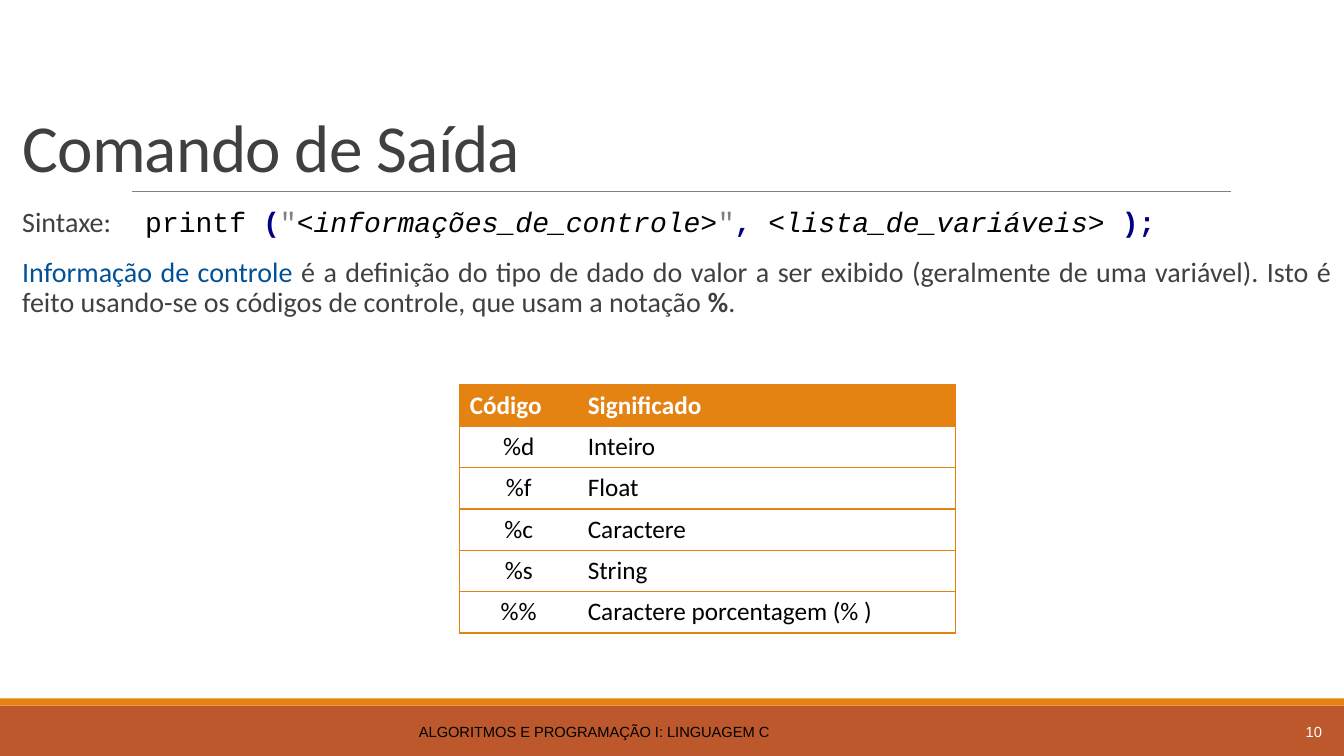
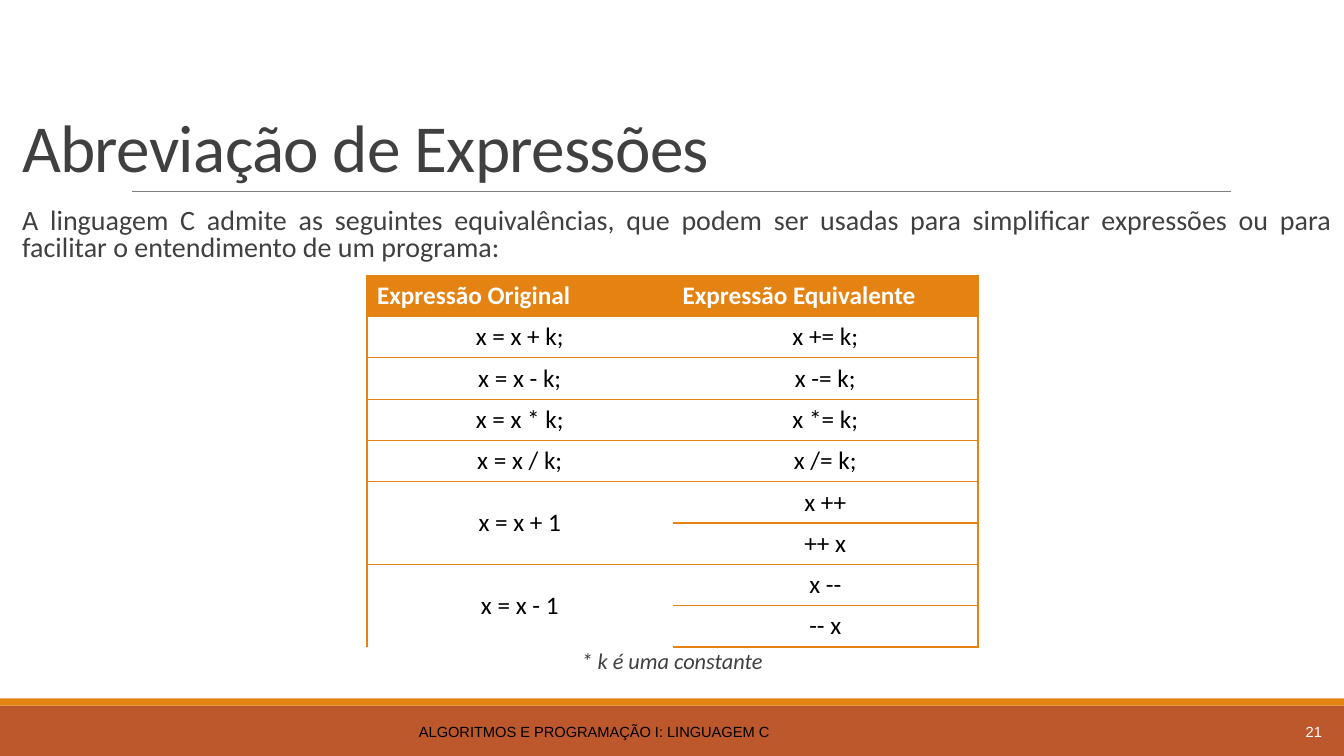
from dataclasses import dataclass
from typing import Optional

import pptx
import pptx.dml.color
import pptx.enum.shapes
import pptx.enum.text
import pptx.oxml
import pptx.oxml.ns
import pptx.util
from pptx.util import Inches

RGBColor = pptx.dml.color.RGBColor
Align = pptx.enum.text.PP_ALIGN
Anchor = pptx.enum.text.MSO_ANCHOR

ORANGE = RGBColor(0xE4, 0x83, 0x12)
RUST = RGBColor(0xBD, 0x58, 0x2C)
GRAY = RGBColor(0x80, 0x80, 0x80)
DARK = RGBColor(0x40, 0x40, 0x40)
BLACK = RGBColor(0, 0, 0)
WHITE = RGBColor(0xFF, 0xFF, 0xFF)
NAVY = RGBColor(0, 0, 0x80)
BLUE = RGBColor(0x02, 0x51, 0x98)

SANS, MONO, PLAIN = "Calibri", "Courier New", "Arial"
WIDE, HIGH = 13.33, 7.5
LEFT, SPAN = 0.22, 12.99
ROW = 0.41
FOOTER = "ALGORITMOS E PROGRAMAÇÃO I: LINGUAGEM C"


@dataclass
class Band:
    top: float
    high: float
    fill: RGBColor


@dataclass
class Grid:
    left: float
    top: float
    cols: list[float]
    aligns: list[Align]
    rows: list[tuple[Optional[str], str]]  # None joins the cell above


BANDS = [Band(7, 0.5, RUST), Band(6.93, 0.07, ORANGE)]


def write(par, text: str, *, size: float = 20, font: str = SANS,
          color: RGBColor = DARK, bold: bool = False, ital: bool = False,
          track: float = 0) -> None:
    """Add one run of text to a paragraph."""
    run = par.add_run()
    run.text = text
    face = run.font
    face.size = pptx.util.Pt(size)
    face.name = font
    face.bold = bold
    face.italic = ital
    face.color.rgb = color
    if track:
        run._r.get_or_add_rPr().set("spc", str(round(track * 100)))


def add_box(slide, left: float, top: float, wide: float, high: float, *,
            side: float = 0, anchor: Anchor = Anchor.TOP):
    """Add a wrapping text box and return its frame."""
    frame = slide.shapes.add_textbox(
        Inches(left), Inches(top), Inches(wide), Inches(high)).text_frame
    frame.word_wrap = True
    frame.vertical_anchor = anchor
    frame.margin_left = frame.margin_right = Inches(side)
    return frame


def style(par, *, align: Align = Align.LEFT, lead: float = 1.0,
          gap: float = 0):
    """Set the paragraph's alignment and spacing."""
    par.alignment = align
    par.line_spacing = lead
    if gap:
        par.space_before = pptx.util.Pt(gap)
    return par


def add_base(deck, title: str, page: int):
    """Add a slide with its bands, rule, title and footer."""
    slide = deck.slides.add_slide(deck.slide_layouts[5])

    # Bands and rule
    for band in BANDS:
        shape = slide.shapes.add_shape(
            pptx.enum.shapes.MSO_SHAPE.RECTANGLE, 0, Inches(band.top),
            Inches(WIDE), Inches(band.high))
        shape.shadow.inherit = False
        shape.fill.solid()
        shape.fill.fore_color.rgb = band.fill
        shape.line.fill.background()
    rule = slide.shapes.add_connector(
        pptx.enum.shapes.MSO_CONNECTOR.STRAIGHT,
        Inches(1.31), Inches(1.9), Inches(12.21), Inches(1.9))
    rule.line.color.rgb = GRAY
    rule.line.width = pptx.util.Pt(0.5)
    props = rule._element.spPr
    props.append(pptx.oxml.parse_xml(
        f"<a:effectLst {pptx.oxml.ns.nsdecls('a')}/>"))

    # Title
    head = slide.shapes.title
    head.left, head.top = Inches(0.12), Inches(0.31)
    head.width, head.height = Inches(13.1), Inches(1.59)
    frame = head.text_frame
    frame.auto_size = pptx.enum.text.MSO_AUTO_SIZE.NONE
    frame.word_wrap = True
    frame.vertical_anchor = Anchor.BOTTOM
    write(style(frame.paragraphs[0], lead=0.85), title, size=48, track=-0.5)

    # Footer and page number
    for left, wide, text, align, color in (
            (0.12, 11.55, FOOTER, Align.CENTER, BLACK),
            (11.78, 1.43, str(page), Align.RIGHT, WHITE)):
        frame = add_box(slide, left, 7.06, wide, 0.4, side=0.1,
                        anchor=Anchor.MIDDLE)
        write(style(frame.paragraphs[0], align=align), text, size=10.5,
              font=PLAIN, color=color)
    return slide


def edge(cell, **sides: bool) -> None:
    """Draw or clear the cell's borders; sides come in order L, R, T, B."""
    props = cell._tc.get_or_add_tcPr()
    for side, drawn in sides.items():
        paint = (f'<a:solidFill><a:srgbClr val="{ORANGE}"/></a:solidFill>'
                 if drawn else "<a:noFill/>")
        props.append(pptx.oxml.parse_xml(
            f'<a:ln{side} {pptx.oxml.ns.nsdecls("a")} w="12700">'
            f"{paint}</a:ln{side}>"))


def add_grid(slide, grid: Grid) -> None:
    """Draw a table with an orange header and orange rules."""
    count, last = len(grid.rows), len(grid.cols) - 1
    table = slide.shapes.add_table(
        count, len(grid.cols), Inches(grid.left), Inches(grid.top),
        Inches(sum(grid.cols)), Inches(ROW * count)).table
    table.horz_banding = False
    for col, wide in zip(table.columns, grid.cols):
        col.width = Inches(wide)
    for row in table.rows:
        row.height = Inches(ROW)

    for r, row in enumerate(grid.rows):
        for c, text in enumerate(row):
            cell = table.cell(r, c)
            below = grid.rows[r + 1][c] if r + 1 < count else ""
            edge(cell, L=c == 0, R=c == last, T=text is not None,
                 B=below is not None)
            if r == 0:
                cell.fill.solid()
                cell.fill.fore_color.rgb = ORANGE
            else:
                cell.fill.background()
            if text is None:
                table.cell(r - 1, c).merge(cell)
                continue
            cell.vertical_anchor = Anchor.MIDDLE
            par = style(cell.text_frame.paragraphs[0],
                        align=grid.aligns[c] if r else Align.LEFT)
            write(par, text, size=18, bold=r == 0,
                  color=BLACK if r else WHITE)


def add_tab(par, place: float) -> None:
    """Set one left tab stop."""
    par._p.get_or_add_pPr().append(pptx.oxml.parse_xml(
        f'<a:tabLst {pptx.oxml.ns.nsdecls("a")}>'
        f'<a:tab pos="{Inches(place)}" algn="l"/></a:tabLst>'))


def print_slide(deck) -> None:
    slide = add_base(deck, "Comando de Saída", 10)

    # Syntax line
    frame = add_box(slide, LEFT, 2.02, SPAN, 1.3)
    par = style(frame.paragraphs[0], lead=0.9)
    par.space_after = pptx.util.Pt(2)
    add_tab(par, 1.22)
    write(par, "Sintaxe:\t")
    for text, color, bold, ital in (
            ("printf ", BLACK, False, False),
            ("(", NAVY, True, False),
            ('"', GRAY, False, False),
            ("<informações_de_controle>", BLACK, False, True),
            ('"', GRAY, False, False),
            (", ", NAVY, True, False),
            ("<lista_de_variáveis> ", BLACK, False, True),
            (");", NAVY, True, False)):
        write(par, text, font=MONO, color=color, bold=bold, ital=ital)

    # Meaning of the control text
    par = style(frame.add_paragraph(), align=Align.JUSTIFY, lead=0.9, gap=12)
    write(par, "Informação de controle", color=BLUE)
    write(par, " é a definição do tipo de dado do valor a ser exibido "
               "(geralmente de uma variável). Isto é feito usando-se os "
               "códigos de controle, que usam a notação ")
    write(par, "%", bold=True)
    write(par, ".")

    add_grid(slide, Grid(
        4.56, 3.82, [1.17, 3.75], [Align.CENTER, Align.LEFT],
        [("Código", "Significado"),
         ("%d", "Inteiro"),
         ("%f", "Float"),
         ("%c", "Caractere"),
         ("%s", "String"),
         ("%%", "Caractere porcentagem (% )")]))


def short_slide(deck) -> None:
    slide = add_base(deck, "Abreviação de Expressões", 21)

    # Lead text
    frame = add_box(slide, LEFT, 2.02, SPAN, 0.65)
    write(style(frame.paragraphs[0], align=Align.JUSTIFY, lead=0.8),
          "A linguagem C admite as seguintes equivalências, que podem ser "
          "usadas para simplificar expressões ou para facilitar o "
          "entendimento de um programa:")

    add_grid(slide, Grid(
        3.64, 2.73, [3.03, 3.03], [Align.CENTER, Align.CENTER],
        [("Expressão Original", "Expressão Equivalente"),
         ("x = x + k;", "x += k;"),
         ("x = x - k;", "x -= k;"),
         ("x = x * k;", "x *= k;"),
         ("x = x / k;", "x /= k;"),
         ("x = x + 1", "x ++"),
         (None, "++ x"),
         ("x = x - 1", "x --"),
         (None, "-- x")]))

    # Note below the table
    frame = add_box(slide, 0.12, 6.42, 13.09, 0.35)
    write(style(frame.paragraphs[0], align=Align.CENTER, lead=0.8),
          "* k é uma constante", size=16, ital=True)


def main() -> None:
    deck = pptx.Presentation()
    deck.slide_width, deck.slide_height = Inches(WIDE), Inches(HIGH)
    print_slide(deck)
    short_slide(deck)
    deck.save("out.pptx")


if __name__ == "__main__":
    main()
